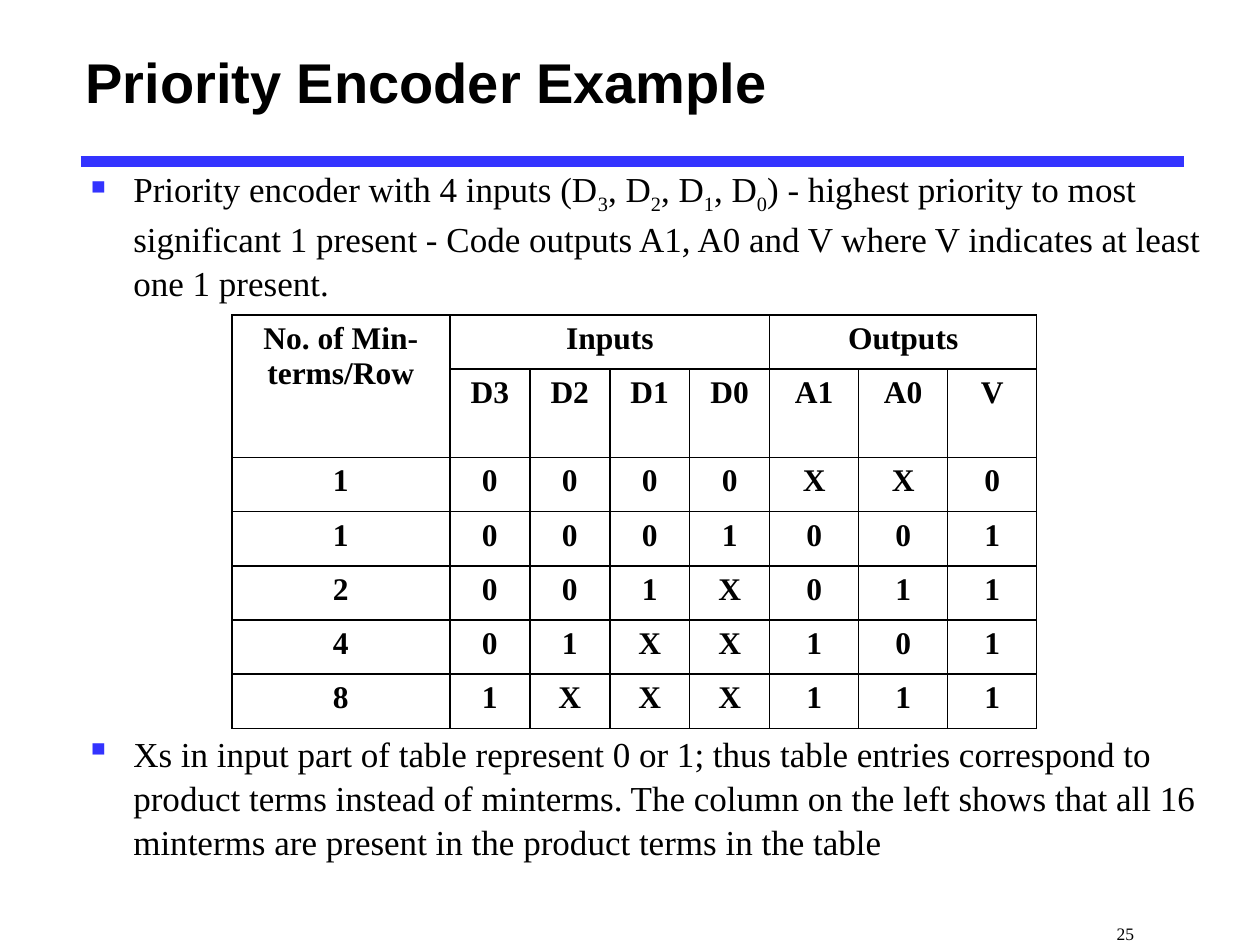
from dataclasses import dataclass

from lxml import etree
from pptx import Presentation
from pptx import util as u
from pptx.dml.color import RGBColor
from pptx.enum import shapes, text
from pptx.oxml import ns

COLORS = {"ink": "000000", "accent": "3333FF"}
SERIF = "Times New Roman"


@dataclass
class Style:
    size: float
    face: str = SERIF
    bold: bool = False


@dataclass
class Bullet:
    pieces: list[str]  # every second piece is a subscript
    space_before: float


TITLE = Style(32, "Arial", True)
BODY = Style(20)
CELL = Style(18, bold=True)
NUMBER = Style(10)

BULLETS = [
    Bullet(["Priority encoder with 4 inputs (D", "3", ", D", "2", ", D", "1", ", D", "0",
            ") - highest priority to most significant 1 present - Code outputs "
            "A1, A0 and V where V indicates at least one 1 present."], 0),
    # The second bullet starts below the truth table
    Bullet(["Xs in input part of table represent 0 or 1; thus table entries "
            "correspond to product terms instead of minterms. The column on the "
            "left shows that all 16 minterms are present in the product terms "
            "in the table"], 244),
]

# Heading text with its top-left cell and bottom-right cell
GROUPS = [
    ("No. of Min-terms/Row", (0, 0), (1, 0)),
    ("Inputs", (0, 1), (0, 4)),
    ("Outputs", (0, 5), (0, 7)),
]
SIGNALS = ["D3", "D2", "D1", "D0", "A1", "A0", "V"]
TRUTH_ROWS = ["10000XX0", "10001001", "2001X011", "401XX101", "81XXX111"]
COLUMN_WIDTHS = [1.73] + [2.54 / 4] * 4 + [2.12 / 3] * 3
ROW_HEIGHTS = [0.43, 0.65] + [0.43] * 5


def apply_style(paragraph, style: Style) -> None:
    font = paragraph.font
    font.size, font.name, font.bold = u.Pt(style.size), style.face, style.bold
    font.color.rgb = RGBColor.from_string(COLORS["ink"])


def add_color(parent, color: str) -> None:
    etree.SubElement(parent, ns.qn("a:srgbClr"), val=COLORS[color])


def add_frame(slide, left: float, top: float, width: float, height: float):
    box = slide.shapes.add_textbox(
        u.Inches(left), u.Inches(top), u.Inches(width), u.Inches(height))
    box.text_frame.word_wrap = True
    return box.text_frame


def add_rule(slide) -> None:
    rule = slide.shapes.add_connector(
        shapes.MSO_CONNECTOR.STRAIGHT,
        u.Inches(0.64), u.Inches(1.28), u.Inches(9.4), u.Inches(1.28))
    rule.line.width = u.Pt(6)
    rule.line.color.rgb = RGBColor.from_string(COLORS["accent"])
    etree.SubElement(rule._element.spPr, ns.qn("a:effectLst"))


def write_bullet(paragraph, bullet: Bullet) -> None:
    paragraph.line_spacing = 1.05
    paragraph.space_before = u.Pt(bullet.space_before)
    properties = paragraph._p.get_or_add_pPr()
    properties.set("marL", str(u.Inches(0.38)))
    properties.set("indent", str(-u.Inches(0.38)))
    add_color(etree.SubElement(properties, ns.qn("a:buClr")), "accent")
    etree.SubElement(properties, ns.qn("a:buChar"), char="▪")
    apply_style(paragraph, BODY)
    for index, piece in enumerate(bullet.pieces):
        run = paragraph.add_run()
        run.text = piece
        if index % 2:
            run._r.get_or_add_rPr().set("baseline", "-25000")


def write_cell(cell, content: str) -> None:
    cell.text = content
    paragraph = cell.text_frame.paragraphs[0]
    paragraph.alignment = text.PP_ALIGN.CENTER
    apply_style(paragraph, CELL)


def add_borders(cell) -> None:
    cell.fill.background()
    properties = cell._tc.get_or_add_tcPr()
    for index, side in enumerate(("lnL", "lnR", "lnT", "lnB")):
        border = etree.Element(ns.qn(f"a:{side}"), w=str(u.Pt(1)))
        add_color(etree.SubElement(border, ns.qn("a:solidFill")), "ink")
        properties.insert(index, border)


def add_truth_table(slide) -> None:
    frame = slide.shapes.add_table(
        len(ROW_HEIGHTS), len(COLUMN_WIDTHS), u.Inches(1.84), u.Inches(2.5),
        u.Inches(sum(COLUMN_WIDTHS)), u.Inches(sum(ROW_HEIGHTS)))
    table = frame.table
    table.first_row = table.horz_banding = False
    for column, width in zip(table.columns, COLUMN_WIDTHS):
        column.width = u.Inches(width)
    for row, height in zip(table.rows, ROW_HEIGHTS):
        row.height = u.Inches(height)
    for cell in table.iter_cells():
        add_borders(cell)

    # Headings
    for heading, first, last in GROUPS:
        table.cell(*first).merge(table.cell(*last))
        write_cell(table.cell(*first), heading)
    for column, signal in enumerate(SIGNALS, start=1):
        write_cell(table.cell(1, column), signal)

    # Values, one character per column
    for row, values in enumerate(TRUTH_ROWS, start=2):
        for column, value in enumerate(values):
            write_cell(table.cell(row, column), value)


def main() -> None:
    deck = Presentation()
    deck.slide_width, deck.slide_height = u.Inches(10), u.Inches(7.5)
    slide = deck.slides.add_slide(deck.slide_layouts[6])

    # Title and rule
    add_rule(slide)
    title = add_frame(slide, 0.58, 0.08, 8.5, 1.12)
    title.vertical_anchor = text.MSO_ANCHOR.MIDDLE
    title.text = "Priority Encoder Example"
    apply_style(title.paragraphs[0], TITLE)

    # Explanation above and below the table
    body = add_frame(slide, 0.58, 1.26, 9.23, 5.73)
    for index, bullet in enumerate(BULLETS):
        write_bullet(body.add_paragraph() if index else body.paragraphs[0], bullet)

    add_truth_table(slide)

    # Page number
    number = add_frame(slide, 7.9, 7.12, 2.1, 0.38)
    number.vertical_anchor = text.MSO_ANCHOR.BOTTOM
    number.margin_right, number.margin_bottom = u.Inches(1), u.Inches(0.01)
    number.text = "25"
    number.paragraphs[0].alignment = text.PP_ALIGN.RIGHT
    apply_style(number.paragraphs[0], NUMBER)

    deck.save("out.pptx")


if __name__ == "__main__":
    main()
